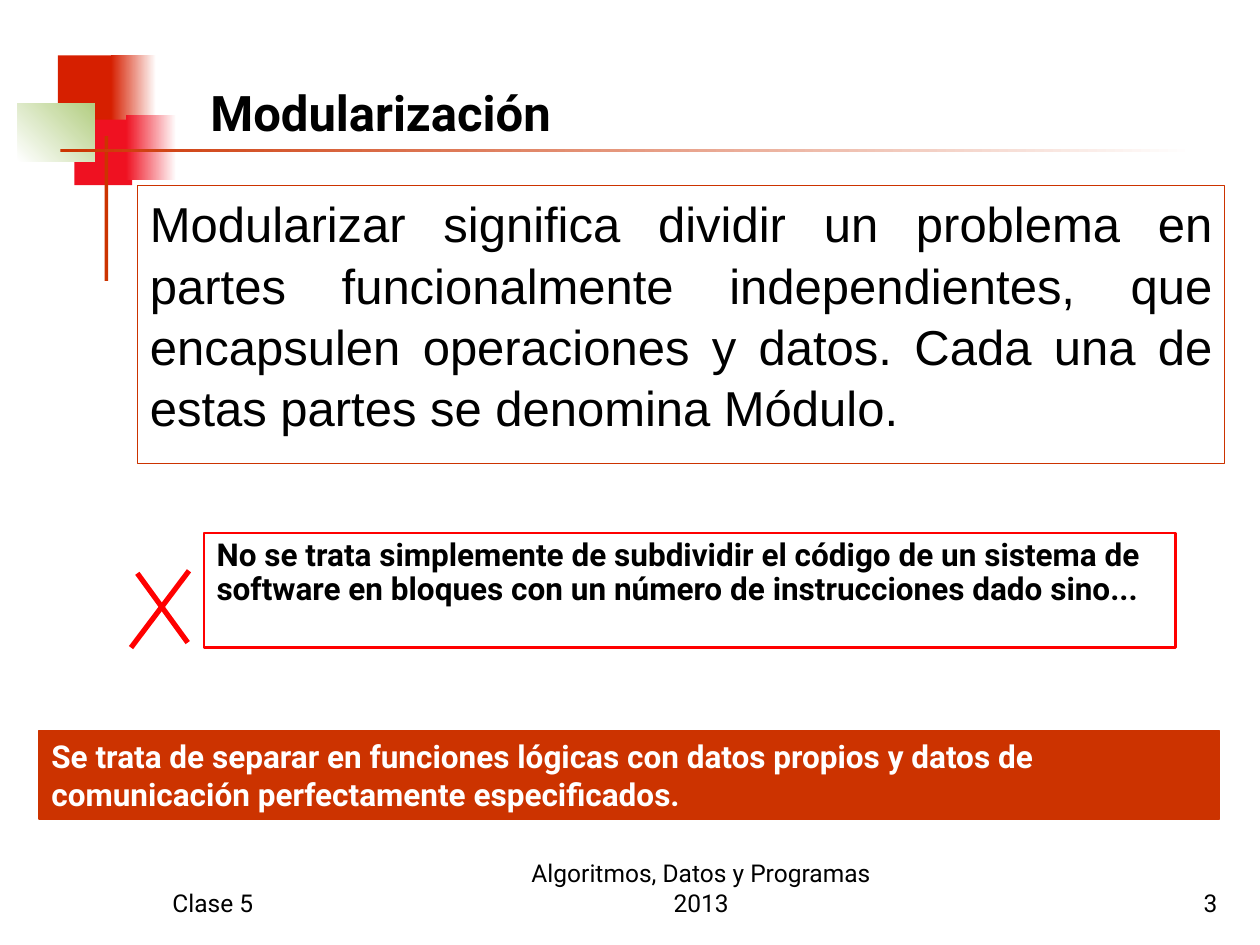
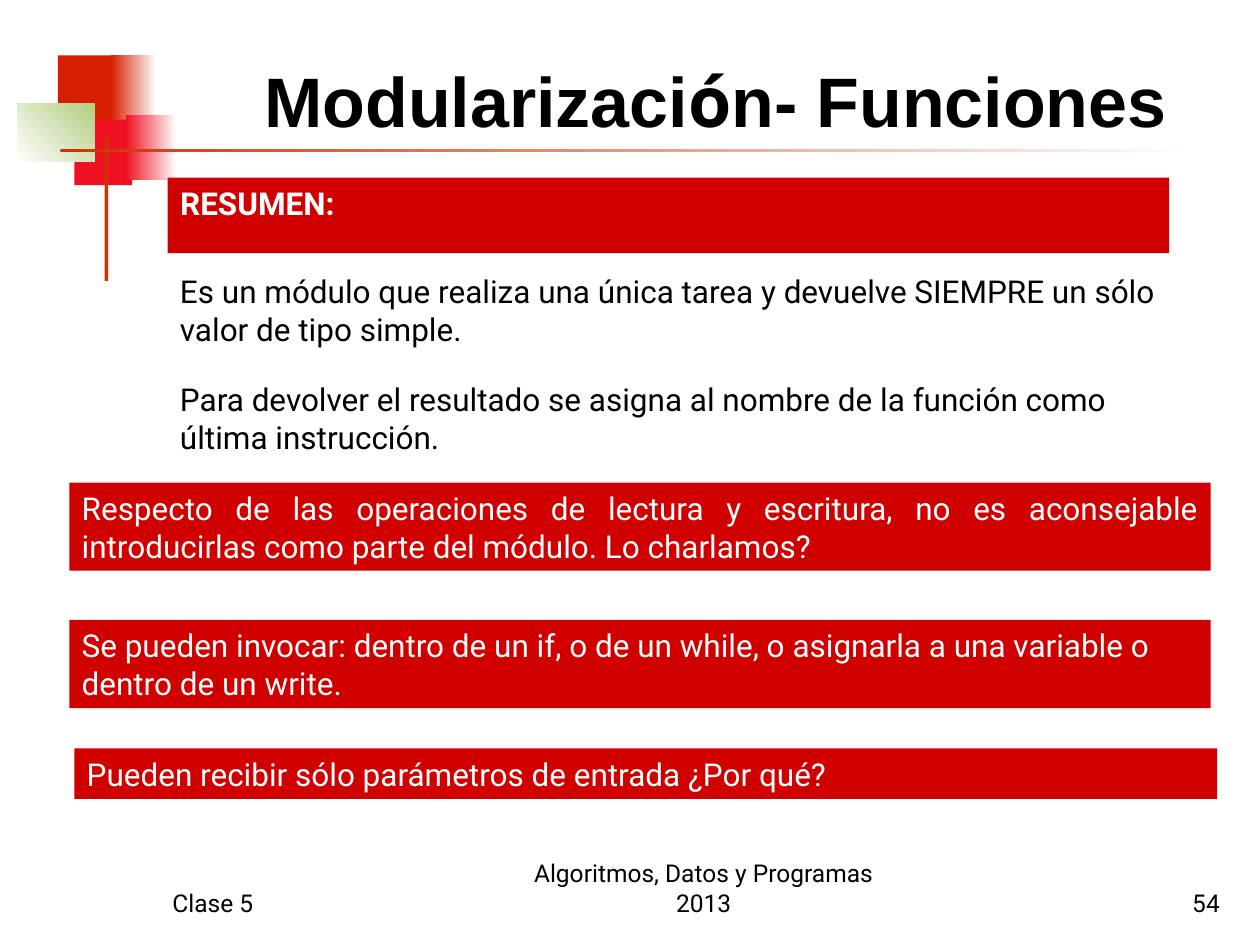
from dataclasses import dataclass
from typing import Optional

from lxml import etree
from pptx import Presentation
from pptx.dml.color import RGBColor
from pptx.enum import shapes, text
from pptx.oxml import ns
from pptx.util import Inches, Pt

LEFT = text.PP_ALIGN.LEFT
CENTER = text.PP_ALIGN.CENTER
RIGHT = text.PP_ALIGN.RIGHT
JUSTIFY = text.PP_ALIGN.JUSTIFY
TOP = text.MSO_ANCHOR.TOP
BOTTOM = text.MSO_ANCHOR.BOTTOM


@dataclass(frozen=True)
class Theme:
    black: str = "000000"
    white: str = "FFFFFF"
    rust: str = "CC3300"
    red: str = "D00000"
    signal: str = "FF0000"
    brick: str = "D61F00"
    crimson: str = "EF1121"
    green: str = "B3CE82"
    font: str = "Roboto"
    plain_font: str = "Arial"
    accent_font: str = "Open Sans"
    footer_size: int = 14
    body_size: int = 18
    large_size: int = 28
    title_size: int = 40


THEME = Theme()


@dataclass(frozen=True)
class Box:
    left: float
    top: float
    width: float
    height: float


@dataclass(frozen=True)
class Style:
    size: int = THEME.body_size
    color: str = THEME.black
    bold: bool = False
    font: str = THEME.font
    align: text.PP_ALIGN = LEFT
    anchor: text.MSO_ANCHOR = TOP
    spacing: float = 1.0


@dataclass(frozen=True)
class Panel:
    box: Box
    words: str
    style: Style = Style()
    fill: Optional[str] = None
    line: Optional[str] = None
    line_width: float = 0.75


@dataclass(frozen=True)
class Block:
    box: Box
    start: str
    end: Optional[str] = None
    angle: int = 0


@dataclass(frozen=True)
class Stroke:
    begin_x: float
    begin_y: float
    end_x: float
    end_y: float


WHITE_TEXT = Style(color=THEME.white)
WHITE_BOLD = Style(color=THEME.white, bold=True)

ORNAMENT = (
    Block(Box(0.46, 0.44, 0.48, 0.52), THEME.brick),
    Block(Box(0.88, 0.44, 0.36, 0.52), THEME.brick, THEME.white),
    Block(Box(0.59, 0.95, 0.46, 0.52), THEME.crimson),
    Block(Box(1.0, 0.91, 0.4, 0.52), THEME.crimson, THEME.white),
    Block(Box(0.14, 0.82, 0.61, 0.46), THEME.white, THEME.green, 45),
    Block(Box(0.83, 1.08, 0.03, 1.15), THEME.rust),
    Block(Box(0.48, 1.18, 9.0, 0.03), THEME.rust, THEME.white),
)

CROSS = (Stroke(1.09, 4.55, 1.49, 5.1), Stroke(1.5, 4.53, 1.04, 5.14))


def rgb(color: str) -> RGBColor:
    return RGBColor.from_string(color)


def place(shape, box: Box) -> None:
    shape.left, shape.top = Inches(box.left), Inches(box.top)
    shape.width, shape.height = Inches(box.width), Inches(box.height)


def paint(shape, fill: Optional[str], line: Optional[str], width: float) -> None:
    if fill:
        shape.fill.solid()
        shape.fill.fore_color.rgb = rgb(fill)
    else:
        shape.fill.background()
    if line:
        shape.line.color.rgb = rgb(line)
        shape.line.width = Pt(width)
    else:
        shape.line.fill.background()


def add_run(paragraph, words: str, style: Style, font: Optional[str] = None) -> None:
    run = paragraph.add_run()
    run.text = words
    run.font.name = font or style.font
    run.font.size = Pt(style.size)
    run.font.bold = style.bold
    run.font.color.rgb = rgb(style.color)


def prepare_text(shape, style: Style):
    frame = shape.text_frame
    frame.word_wrap = True
    frame.auto_size = text.MSO_AUTO_SIZE.NONE
    frame.vertical_anchor = style.anchor
    frame.margin_left = frame.margin_right = Inches(0.1)
    frame.margin_top = frame.margin_bottom = Inches(0.05)
    paragraph = frame.paragraphs[0]
    paragraph.alignment = style.align
    paragraph.line_spacing = style.spacing
    paragraph.space_before = Pt(0)
    return paragraph


def add_block(slide, block: Block) -> None:
    shape = slide.shapes.add_shape(shapes.MSO_SHAPE.RECTANGLE, 0, 0, 0, 0)
    shape.shadow.inherit = False
    place(shape, block.box)
    paint(shape, block.start, None, 0)
    if block.end:
        shape.fill.gradient()
        shape.fill.gradient_angle = block.angle
        for stop, color in zip(shape.fill.gradient_stops, (block.start, block.end)):
            stop.color.rgb = rgb(color)


def add_panel(slide, panel: Panel) -> None:
    if panel.fill or panel.line:
        shape = slide.shapes.add_shape(shapes.MSO_SHAPE.RECTANGLE, 0, 0, 0, 0)
        shape.shadow.inherit = False
    else:
        shape = slide.shapes.add_textbox(0, 0, 0, 0)
    place(shape, panel.box)
    paint(shape, panel.fill, panel.line, panel.line_width)
    add_run(prepare_text(shape, panel.style), panel.words, panel.style)


def add_stroke(slide, stroke: Stroke) -> None:
    connector = slide.shapes.add_connector(
        shapes.MSO_CONNECTOR.STRAIGHT,
        Inches(stroke.begin_x), Inches(stroke.begin_y),
        Inches(stroke.end_x), Inches(stroke.end_y),
    )
    connector.line.color.rgb = rgb(THEME.signal)
    connector.line.width = Pt(3)
    etree.SubElement(connector.element.spPr, ns.qn("a:effectLst"))


def fill_title(slide, box: Box, style: Style, parts) -> None:
    title = slide.shapes.title
    place(title, box)
    paragraph = prepare_text(title, style)
    for words, font in parts:
        add_run(paragraph, words, style, font)


def fill_body(slide, panel: Panel) -> None:
    body = slide.placeholders[1]
    place(body, panel.box)
    paint(body, panel.fill, panel.line, panel.line_width)
    paragraph = prepare_text(body, panel.style)
    properties = paragraph._p.get_or_add_pPr()
    properties.set("marL", "0")
    properties.set("indent", "0")
    etree.SubElement(properties, ns.qn("a:buNone"))
    add_run(paragraph, panel.words, panel.style)


def add_footer(slide, number: str, shift: float) -> None:
    cells = (
        (1.27, 2.08, "Clase 5", LEFT),
        (3.98 + shift, 3.17, "Algoritmos, Datos y Programas 2013", CENTER),
        (7.68 + shift, 2.08, number, RIGHT),
    )
    for left, width, words, align in cells:
        style = Style(size=THEME.footer_size, align=align, anchor=BOTTOM)
        add_panel(slide, Panel(Box(left, 6.83, width, 0.5), words, style))


def start_slide(presentation, number: str, footer_shift: float = 0):
    slide = presentation.slides.add_slide(presentation.slide_layouts[1])
    placeholders = list(slide.placeholders)
    for block in ORNAMENT:
        add_block(slide, block)
    for placeholder in placeholders:
        placeholder.element.getparent().append(placeholder.element)
    add_footer(slide, number, footer_shift)
    return slide


def build_definition(presentation) -> None:
    slide = start_slide(presentation, "3")
    title_style = Style(size=THEME.large_size, bold=True, anchor=BOTTOM)
    fill_title(slide, Box(1.57, 0.25, 7.33, 0.92), title_style,
               [("Modularización", THEME.font)])
    fill_body(slide, Panel(
        Box(1.09, 1.47, 8.63, 2.21),
        "Modularizar significa dividir un problema en partes funcionalmente "
        "independientes, que encapsulen operaciones y datos. Cada una de estas "
        "partes se denomina Módulo.",
        Style(size=THEME.large_size, font=THEME.plain_font, align=JUSTIFY, spacing=1.04),
        line=THEME.rust,
    ))
    for stroke in CROSS:
        add_stroke(slide, stroke)
    add_panel(slide, Panel(
        Box(1.62, 4.23, 7.71, 0.91),
        "No se trata simplemente de subdividir el código de un sistema de "
        "software en bloques con un número de instrucciones dado sino...",
        Style(bold=True, spacing=0.9), line=THEME.signal, line_width=1.25,
    ))
    add_panel(slide, Panel(
        Box(0.31, 5.8, 9.37, 0.7),
        "Se trata de separar en funciones lógicas con datos propios y datos de "
        "comunicación perfectamente especificados.",
        WHITE_BOLD, fill=THEME.rust, line=THEME.rust,
    ))


def build_summary(presentation) -> None:
    slide = start_slide(presentation, "54", 0.02)
    title_style = Style(size=THEME.title_size, bold=True, anchor=BOTTOM)
    fill_title(slide, Box(2.0, 0.25, 7.58, 0.92), title_style, [
        ("Modularizaci", THEME.plain_font),
        ("ó", THEME.accent_font),
        ("n- Funciones", THEME.plain_font),
    ])
    fill_body(slide, Panel(Box(1.33, 1.41, 7.95, 0.6), "RESUMEN:",
                           WHITE_BOLD, fill=THEME.red))
    statements = (
        "Es un módulo que realiza una única tarea y devuelve SIEMPRE un sólo "
        "valor de tipo simple.",
        "Para devolver el resultado se asigna al nombre de la función como "
        "última instrucción.",
    )
    for index, words in enumerate(statements):
        add_panel(slide, Panel(Box(1.33, 2.11 + 0.86 * index, 7.98, 0.7), words))
    bands = (
        (Box(0.55, 3.83, 9.06, 0.7), Style(color=THEME.white, align=JUSTIFY),
         "Respecto de las operaciones de lectura y escritura, no es aconsejable "
         "introducirlas como parte del módulo. Lo charlamos?"),
        (Box(0.55, 4.92, 9.06, 0.7), WHITE_TEXT,
         "Se pueden invocar: dentro de un if, o de un while, o asignarla a una "
         "variable o dentro de un write."),
        (Box(0.59, 5.94, 9.07, 0.4), WHITE_TEXT,
         "Pueden recibir sólo parámetros de entrada ¿Por qué?"),
    )
    for box, style, words in bands:
        add_panel(slide, Panel(box, words, style, fill=THEME.red))


def main() -> None:
    presentation = Presentation()
    presentation.slide_width = Inches(10)
    presentation.slide_height = Inches(7.5)
    build_definition(presentation)
    build_summary(presentation)
    presentation.save("out.pptx")


if __name__ == "__main__":
    main()
